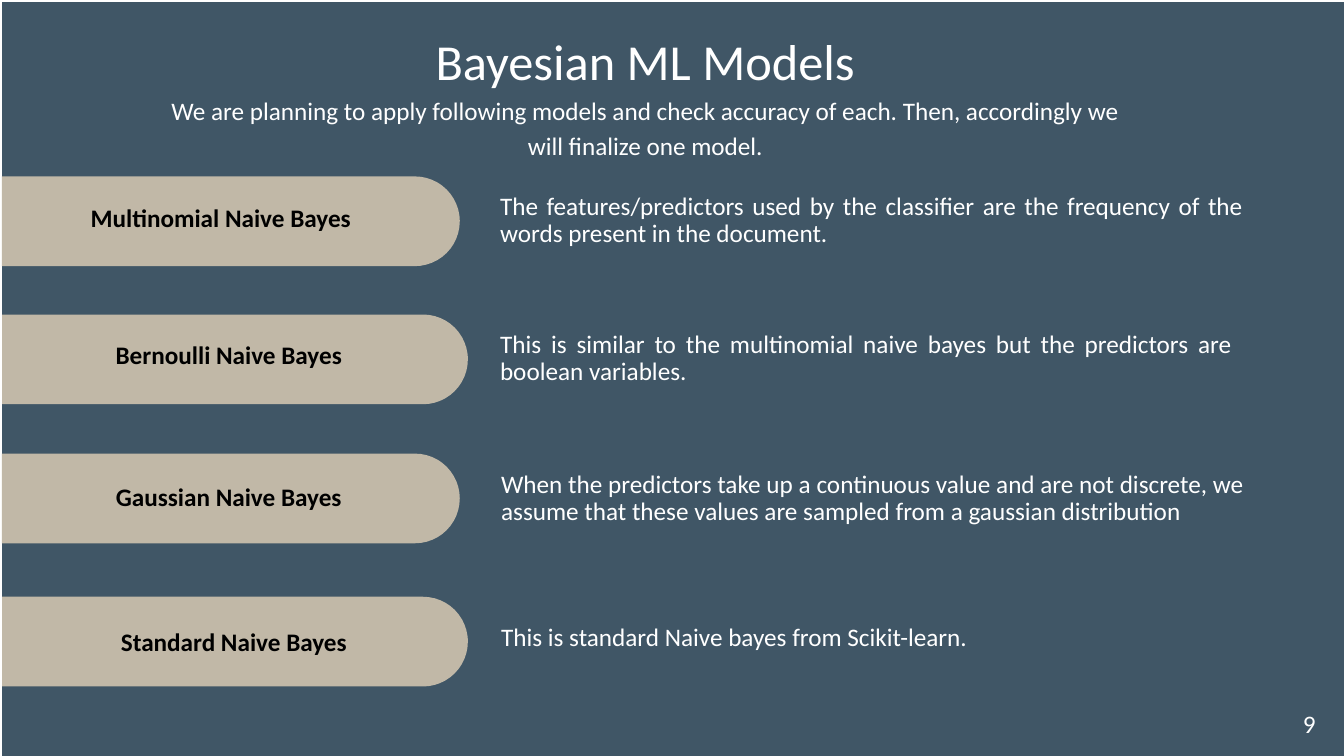
from pptx import Presentation
from pptx.dml.color import RGBColor
from pptx.enum.shapes import MSO_SHAPE
from pptx.enum.text import MSO_ANCHOR, PP_ALIGN
from pptx.util import Inches, Pt

SLATE = RGBColor(0x40, 0x56, 0x66)
SAND = RGBColor(0xC1, 0xB8, 0xA7)
WHITE = RGBColor(0xFF, 0xFF, 0xFF)
BLACK = RGBColor(0x00, 0x00, 0x00)
RECTANGLE = MSO_SHAPE.RECTANGLE
ROUND_TOP = MSO_SHAPE.ROUND_2_SAME_RECTANGLE
TOP, MIDDLE = MSO_ANCHOR.TOP, MSO_ANCHOR.MIDDLE
CENTER, JUSTIFY = PP_ALIGN.CENTER, PP_ALIGN.JUSTIFY

EDGE = 0.02
PILL_HEIGHT = 0.89

prs = Presentation()
prs.slide_width, prs.slide_height = Inches(13.33), Inches(7.5)
slide = prs.slides.add_slide(prs.slide_layouts[6])


def add_panel(kind, left, top, width, height, color):
    panel = slide.shapes.add_shape(kind, Inches(left), Inches(top), Inches(width), Inches(height))
    panel.shadow.inherit = False
    panel.fill.solid()
    panel.fill.fore_color.rgb = color
    panel.line.fill.background()
    return panel


def add_text(text, box, color, align, anchor, inset):
    frame = slide.shapes.add_textbox(*map(Inches, box)).text_frame
    frame.word_wrap = True
    frame.vertical_anchor = anchor
    frame.margin_left = frame.margin_right = Inches(inset)
    frame.margin_top = frame.margin_bottom = Inches(inset)
    paragraph = frame.paragraphs[0]
    paragraph.alignment = align
    paragraph.font.name = "Calibri"
    paragraph.font.size = Pt(18)
    paragraph.font.color.rgb = color
    paragraph.add_run().text = text
    return paragraph


# Backdrop
add_panel(RECTANGLE, EDGE, EDGE, 13.31, 7.48, SLATE)

# Title and introduction
heading = add_text("Bayesian ML Models", (1.49, 0.11, 9.82, 0.66), WHITE, CENTER, TOP, 0.1)
heading.line_spacing = 1.15
heading.runs[0].font.size = Pt(36)
heading.add_line_break()
heading.add_run().text = (
    "We are planning to apply following models and check accuracy of each. "
    "Then, accordingly we will finalize one model."
)

# Models: name, name left and top, pill top and length, description box, description
models = [
    ("Multinomial Naive Bayes", 0.2, 1.91, 1.75, 4.54, (4.96, 1.7, 7.37, 0.98),
     "The features/predictors used by the classifier are the frequency of the "
     "words present in the document."),
    ("Bernoulli Naive Bayes", 0.28, 3.27, 3.12, 4.62, (4.96, 3.09, 7.26, 0.94),
     "This is similar to the multinomial naive bayes but the predictors are "
     "boolean variables."),
    ("Gaussian Naive Bayes", 0.28, 4.67, 4.5, 4.54, (4.97, 4.46, 7.37, 0.98),
     "When the predictors take up a continuous value and are not discrete, we "
     "assume that these values are sampled from a gaussian distribution"),
    ("Standard Naive Bayes", 0.33, 6.11, 5.92, 4.62, (4.97, 5.86, 7.26, 0.94),
     "This is standard Naive bayes from Scikit-learn."),
]
for name, name_left, name_top, pill_top, pill_length, description_box, description in models:
    # The pill is an upright shape turned about its centre
    turn = (pill_length - PILL_HEIGHT) / 2
    pill = add_panel(ROUND_TOP, EDGE + turn, pill_top - turn, PILL_HEIGHT, pill_length, SAND)
    pill.rotation = 90
    pill.adjustments[0] = 0.5
    pill.adjustments[1] = 0

    label = add_text(name, (name_left, name_top, 3.98, 0.58), BLACK, CENTER, TOP, 0.1)
    label.font.bold = True

    detail = add_text(description, description_box, WHITE, JUSTIFY, MIDDLE, 0)
    detail.line_spacing = 0.9
    detail.space_before = Pt(10)

# Slide number
add_text("9", (12.77, 6.98, 0.43, 0.4), WHITE, CENTER, MIDDLE, 0.05)

prs.save("out.pptx")
